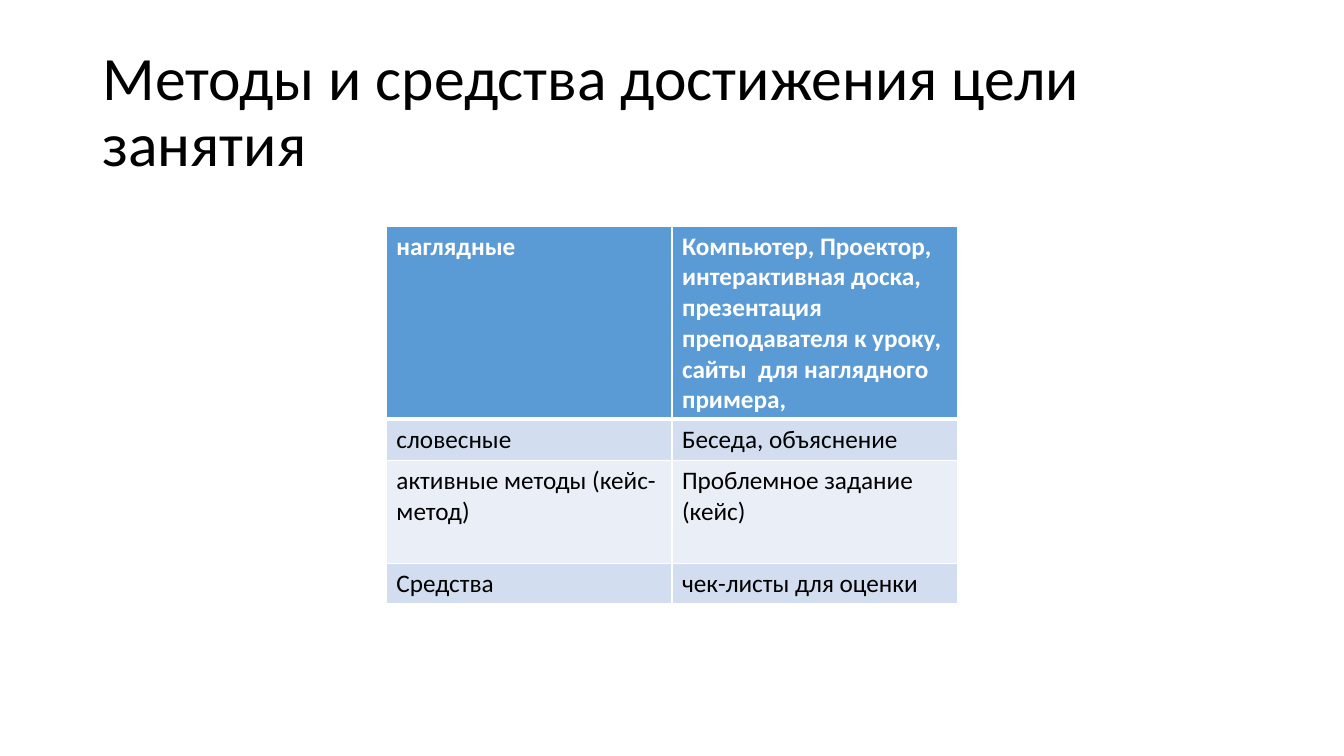
from lxml import etree
from pptx import Presentation
from pptx.dml.color import RGBColor
from pptx.enum.text import MSO_ANCHOR
from pptx.oxml.ns import qn
from pptx.util import Inches, Pt

MIDDLE = MSO_ANCHOR.MIDDLE
WHITE, BLACK, BLUE = "FFFFFF", "000000", "5B9BD5"
BANDS = ["D2DEEF", "EAEFF7"]
TITLE = "Методы и средства достижения цели занятия"
METHODS = [
    ("наглядные", "Компьютер, Проектор, интерактивная доска, презентация "
     "преподавателя к уроку, сайты  для наглядного примера,"),
    ("словесные", "Беседа, объяснение"),
    ("активные методы (кейс-метод)", "Проблемное задание (кейс)"),
    ("Средства", "чек-листы для оценки"),
]
HEIGHTS = [23, 4.9, 12.25, 4.85]


def paint(code):
    return RGBColor.from_string(code)


class Deck:
    """Places styled elements on a slide grid of 160 columns by 90 rows."""

    def __init__(self, font):
        self.font = font
        self.show = Presentation()
        self.show.slide_width = Inches(13.33)
        self.show.slide_height = Inches(7.5)
        self.slide = self.show.slides.add_slide(self.show.slide_layouts[6])

    def col(self, count):
        return round(self.show.slide_width * count / 160)

    def row(self, count):
        return round(self.show.slide_height * count / 90)

    def box(self, left, top, width, height):
        return self.col(left), self.row(top), self.col(width), self.row(height)

    def style(self, frame, size, color, bold=False):
        for para in frame.paragraphs:
            for run in para.runs:
                run.font.name = self.font
                run.font.size = Pt(size)
                run.font.bold = bold
                run.font.color.rgb = paint(color)

    def title(self, text, *place):
        frame = self.slide.shapes.add_textbox(*self.box(*place)).text_frame
        frame.word_wrap = True
        frame.vertical_anchor = MIDDLE
        frame.text = text
        frame.paragraphs[0].line_spacing = 0.9
        self.style(frame, 44, BLACK)

    def edge(self, cell, side, width):
        props = cell._tc.get_or_add_tcPr()
        line = etree.SubElement(props, qn("a:ln" + side), w=str(Pt(width)))
        fill = etree.SubElement(line, qn("a:solidFill"))
        etree.SubElement(fill, qn("a:srgbClr"), val=WHITE)

    def table(self, data, heights, left, top, width):
        place = self.box(left, top, width, sum(heights))
        table = self.slide.shapes.add_table(len(data), len(data[0]), *place).table
        for r, (texts, height) in enumerate(zip(data, heights)):
            table.rows[r].height = self.row(height)
            head = r == 0
            for c, text in enumerate(texts):
                cell = table.cell(r, c)
                cell.text_frame.text = text
                self.style(cell.text_frame, 18, WHITE if head else BLACK, head)
                for side in "LRTB":
                    thick = (side == "B" and head) or (side == "T" and r == 1)
                    self.edge(cell, side, 3 if thick else 1)
                cell.fill.solid()
                cell.fill.fore_color.rgb = paint(BLUE if head else BANDS[(r - 1) % 2])


def main():
    deck = Deck("Calibri")
    deck.title(TITLE, 11, 4.8, 138, 17.4)
    deck.table(METHODS, HEIGHTS, 46, 26.9, 68)
    deck.show.save("out.pptx")


if __name__ == "__main__":
    main()
